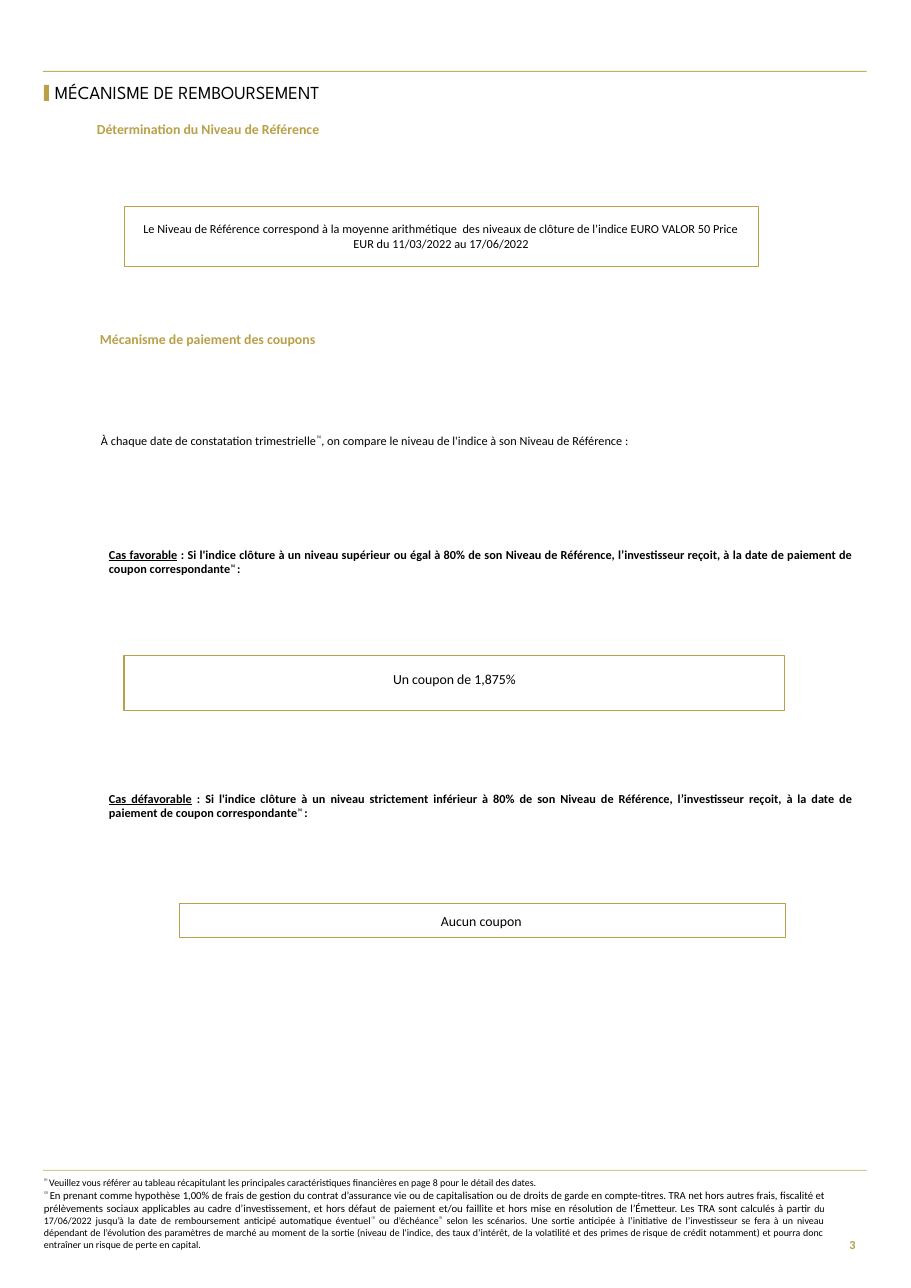
from pptx import Presentation
from pptx.dml.color import RGBColor
from pptx.enum.shapes import MSO_SHAPE
from pptx.enum.text import MSO_ANCHOR, MSO_AUTO_SIZE, PP_ALIGN
from pptx.util import Inches, Pt

SCALE = 914400 / 110.2
GOLD = RGBColor(0xB9, 0xA0, 0x49)
RULE = RGBColor(0xC5, 0xAF, 0x5C)
BLACK = RGBColor(0, 0, 0)
WHITE = RGBColor(0xFF, 0xFF, 0xFF)

BODY = {"name": "Calibri", "size": Pt(8), "bold": False}
CASE = BODY | {"bold": True}
COUPON = BODY | {"size": Pt(9)}
HEADING = COUPON | {"bold": True, "color": GOLD}
TITLE = BODY | {"name": "League Spartan", "size": Pt(12)}
NUMBER = CASE | {"color": GOLD}
NOTE = BODY | {"size": Pt(6.5)}
UNDERLINED = {"underline": True}
RAISED = {"raised": True}


def px(*lengths):
    """Turn pixel lengths into EMU."""
    return [round(n * SCALE) for n in lengths]


class Page:
    """Holds the style and the current slide."""

    def __init__(self, prs):
        """Add a title-only slide."""
        self.s = prs.slides.add_slide(prs.slide_layouts[5])

    def set_text(self, sp, paragraphs, style, align=PP_ALIGN.LEFT,
                 anchor=MSO_ANCHOR.TOP, insets=(0, 0, 0, 0), spacing=1.0):
        """Fill a shape with paragraphs, each a list of (text, changes) runs."""
        tf = sp.text_frame
        left, top, right, bottom = px(*insets)
        layout = {"word_wrap": True, "auto_size": MSO_AUTO_SIZE.NONE,
                  "vertical_anchor": anchor, "margin_left": left,
                  "margin_top": top, "margin_right": right,
                  "margin_bottom": bottom}
        for key, value in layout.items():
            setattr(tf, key, value)
        for i, runs in enumerate(paragraphs):
            p = tf.paragraphs[0] if i == 0 else tf.add_paragraph()
            p.alignment, p.line_spacing = align, spacing
            p.space_before = Pt(0)
            for text, changes in runs:
                r = p.add_run()
                r.text = text
                self.style_run(r, style | changes)

    def style_run(self, r, values):
        """Apply a dict of format values to one run."""
        for key, value in values.items():
            if key == "raised":
                r.font._element.set("baseline", "30000")
            elif key != "color":
                setattr(r.font, key, value)
        r.font.color.rgb = values.get("color", BLACK)

    def title(self, box, text):
        """Move and format the title placeholder."""
        sp = self.s.shapes.title
        sp.left, sp.top, sp.width, sp.height = px(*box)
        self.set_text(sp, [[(text, {})]], TITLE, anchor=MSO_ANCHOR.MIDDLE, spacing=0.9)

    def text(self, box, paragraphs, style, **layout):
        """Add a text box."""
        self.set_text(self.s.shapes.add_textbox(*px(*box)), paragraphs, style, **layout)

    def rect(self, box, fill=None, line=None, weight=0.75):
        """Add a plain rectangle."""
        sp = self.s.shapes.add_shape(MSO_SHAPE.RECTANGLE, *px(*box))
        sp.shadow.inherit = False
        if fill is None:
            sp.fill.background()
        else:
            sp.fill.solid()
            sp.fill.fore_color.rgb = fill
        if line is None:
            sp.line.fill.background()
        else:
            sp.line.color.rgb = line
            sp.line.width = Pt(weight)
        return sp

    def framed(self, box, text, style, fill=WHITE, weight=0.75, insets=(13, 0, 13, 0)):
        """Add a gold-edged rectangle with centred text."""
        self.set_text(self.rect(box, fill, GOLD, weight), [[(text, {})]], style,
                      align=PP_ALIGN.CENTER, anchor=MSO_ANCHOR.MIDDLE, insets=insets)


prs = Presentation()
prs.slide_width, prs.slide_height = Inches(8.27), Inches(11.69)
page = Page(prs)

for top in (71, 1170):
    page.rect((43, top, 824, 1), RULE)
page.rect((44, 85, 5, 16), GOLD)
page.title((55, 80, 464, 28), "MÉCANISME DE REMBOURSEMENT")

for left, top, text in ((97, 121, "Détermination du Niveau de Référence"),
                        (100, 331, "Mécanisme de paiement des coupons")):
    page.text((left, top, 700, 20), [[(text, {})]], HEADING)

page.framed((124, 206, 635, 60),
            "Le Niveau de Référence correspond à la moyenne arithmétique  des niveaux "
            "de clôture de l'indice EURO VALOR 50 Price EUR du 11/03/2022 au 17/06/2022",
            BODY, fill=None, weight=0.5)

page.text((101, 433, 724, 14), [[
    ("À chaque date de constatation trimestrielle", {}), ("⁽¹⁾", RAISED),
    (", on compare le niveau de l'indice à son Niveau de Référence :", {}),
]], BODY, align=PP_ALIGN.JUSTIFY)

for top, case, level in ((547, "Cas favorable", "supérieur ou égal"),
                         (791, "Cas défavorable", "strictement inférieur")):
    page.text((109, top, 745, 30), [[
        (case, UNDERLINED),
        (f" : Si l'indice clôture à un niveau {level} à 80% de son Niveau de "
         "Référence, l’investisseur reçoit, à la date de paiement de coupon "
         "correspondante", {}),
        ("⁽¹⁾ ", RAISED), (":", {}),
    ]], CASE, align=PP_ALIGN.JUSTIFY)

page.framed((124, 656, 661, 55), "Un coupon de 1,875%", COUPON, insets=(13, 8, 13, 16))
page.framed((180, 904, 606, 34), "Aucun coupon ", COUPON)

page.text((44, 1177, 781, 75), [
    [("⁽¹⁾ ", RAISED),
     ("Veuillez vous référer au tableau récapitulant les principales "
      "caractéristiques financières en page 8 pour le détail des dates.", {})],
    [("⁽²⁾ ", RAISED),
     ("En prenant comme hypothèse 1,00% de frais de\u00a0gestion du contrat "
      "d’assurance vie ou de capitalisation ou de droits de garde en "
      "compte-titres. TRA net hors autres frais, fiscalité et prélèvements "
      "sociaux applicables au cadre d’investissement, et hors défaut de paiement "
      "et/ou faillite et hors mise en résolution de l’Émetteur. Les TRA sont "
      "calculés à partir ", {"size": Pt(7)}),
     ("du 17/06/2022 jusqu’à la date de remboursement anticipé automatique "
      "éventuel", {}),
     ("⁽¹⁾", RAISED), (" ou d’échéance", {}), ("⁽¹⁾", RAISED),
     (" selon les scénarios. Une sortie anticipée à l’initiative de "
      "l’investisseur se fera à un niveau dépendant de l’évolution des "
      "paramètres de marché au moment de la sortie (niveau de l'indice, des taux "
      "d’intérêt, de la volatilité et des primes de\u00a0risque de crédit "
      "notamment) et pourra donc entraîner un risque de perte en capital.", {})],
], NOTE, align=PP_ALIGN.JUSTIFY)

page.text((824, 1222, 43, 46), [[("3", {})]], NUMBER, align=PP_ALIGN.RIGHT,
          anchor=MSO_ANCHOR.MIDDLE, insets=(11, 6, 11, 6))

prs.save("out.pptx")
